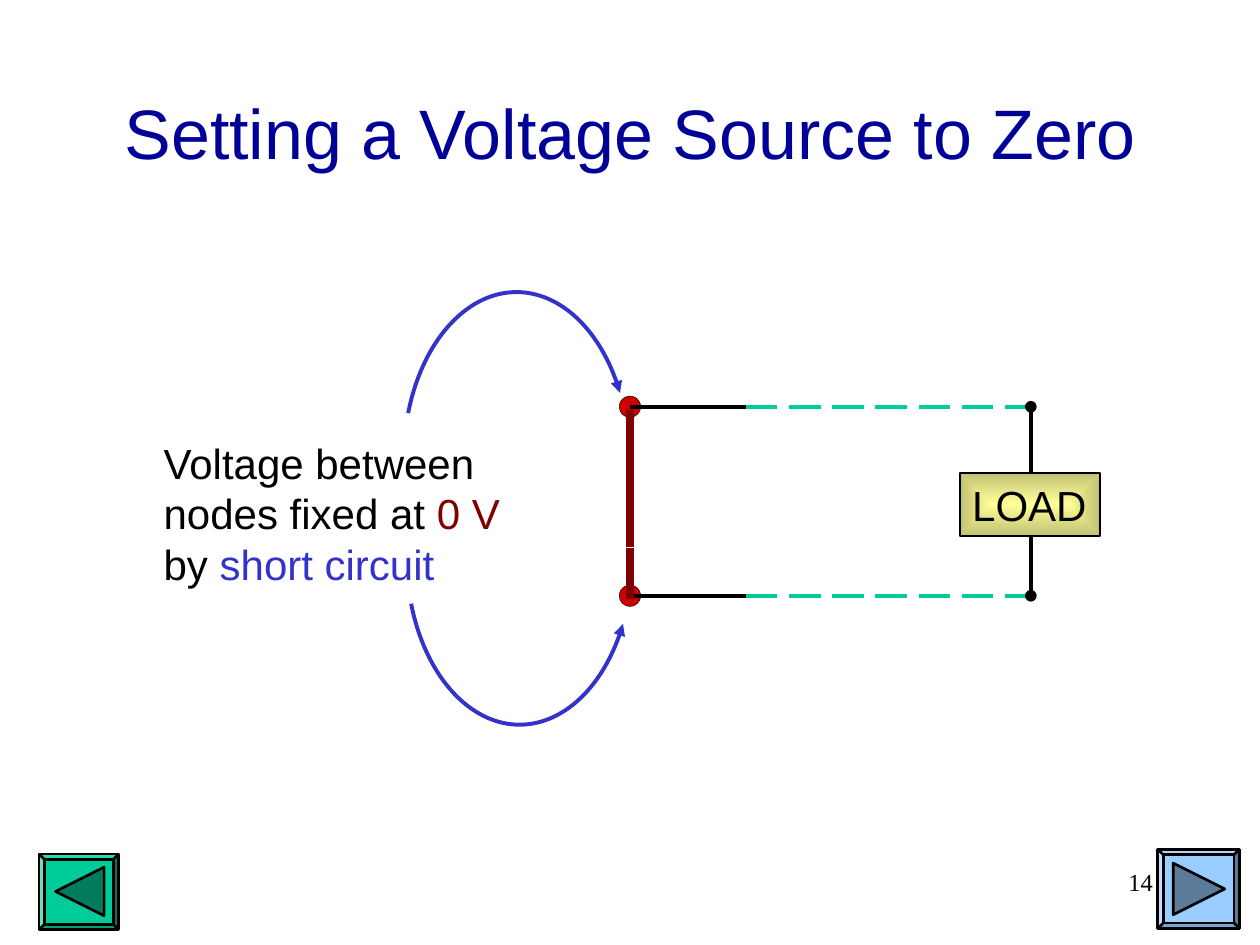
from lxml import etree
from pptx import Presentation
from pptx import util as u
from pptx.dml.color import RGBColor
from pptx.enum import dml, shapes, text
from pptx.oxml.ns import qn

Cm, Pt = u.Cm, u.Pt
MSO = shapes.MSO_SHAPE
BLACK, NAVY, BLUE, GREEN = "000000", "000099", "3333CC", "00CC99"
MAROON, RED = "800000", "CC0000"


def paint(fill, color):
    fill.solid()
    fill.fore_color.rgb = RGBColor.from_string(color)


def write(sp, lines, frame, size=24, font="Arial", align=text.PP_ALIGN.LEFT):
    """Fill a shape with lines, each a list of (words, colour) pairs."""
    tf = sp.text_frame
    for name, value in frame.items():
        setattr(tf, name, value)
    for i, line in enumerate(lines):
        p = tf.add_paragraph() if i else tf.paragraphs[0]
        p.alignment = align
        for words, color in line:
            r = p.add_run()
            r.text = words
            for name, value in {"size": Pt(size), "name": font}.items():
                setattr(r.font, name, value)
            paint(r.font.fill, color)


prs = Presentation()
prs.slide_width, prs.slide_height = Cm(25.4), Cm(19.05)
s = prs.slides.add_slide(prs.slide_layouts[5])

# Navigation buttons: bevelled frame with a triangle
for frame, fill, arrow, dark, turn in [
    ((23.34, 17.12, 1.65, 1.6), "99CCFF", (23.65, 17.4, 1.04, 1.04), "5C7A99", 90),
    ((0.79, 17.22, 1.6, 1.52), GREEN, (1.12, 17.48, 0.98, 0.98), "007B5C", -90),
]:
    for kind, box, color in [(MSO.BEVEL, frame, fill),
                             (MSO.ISOSCELES_TRIANGLE, arrow, dark)]:
        sp = s.shapes.add_shape(kind, *map(Cm, box))
        sp.shadow.inherit = False
        paint(sp.fill, color)
        paint(sp.line.fill, BLACK)
        sp.line.width = Pt(1.5)
        if kind == MSO.BEVEL:
            sp.adjustments[0] = 0.07
        else:
            sp.rotation = turn

# Slide number
sp = s.shapes.add_textbox(Cm(18.21), Cm(17.35), Cm(5.28), Cm(1.27))
write(sp, [[("14", BLACK)]], {"word_wrap": True}, 14, "Times New Roman",
      text.PP_ALIGN.RIGHT)

# Title
sp = s.shapes.title
box = {"left": 1.9, "top": 1.07, "width": 21.6, "height": 3.18}
for name, value in box.items():
    setattr(sp, name, Cm(value))
write(sp, [[("Setting a Voltage Source to Zero", NAVY)]],
      {"vertical_anchor": text.MSO_ANCHOR.MIDDLE}, 40,
      align=text.PP_ALIGN.CENTER)

# Explanation
sp = s.shapes.add_textbox(Cm(3.05), Cm(8.69), Cm(7.29), Cm(3.3))
write(sp, [[("Voltage between", BLACK)],
           [("nodes fixed at ", BLACK), ("0 V", MAROON)],
           [("by ", BLACK), ("short circuit", BLUE)]], {"word_wrap": False})

# Curved arrows to the two nodes (angles in degrees, clockwise from the right)
for left, top, start, end, tip in [(8.14, 5.89, 203.3, 327.1, "tailEnd"),
                                   (8.2, 7.85, 32.9, 156.7, "headEnd")]:
    sp = s.shapes.add_shape(MSO.ARC, Cm(left), Cm(top), Cm(4.55), Cm(6.76))
    sp.shadow.inherit = False
    sp.fill.background()
    for i, angle in enumerate((start, end)):
        sp.adjustments[i] = angle * 0.6
    paint(sp.line.fill, BLUE)
    sp.line.width = Pt(2.25)
    etree.SubElement(sp.line._get_or_add_ln(), qn("a:" + tip), type="triangle")

# Circuit wires
top_y, bottom_y = 8.2, 12.01
node_x, join_x, load_x = 12.7, 15.04, 20.78
wires = []
for y in (bottom_y, top_y):
    wires += [(join_x, y, load_x, y, GREEN, 2.25, "dash"),
              (node_x, y, join_x, y, BLACK, 2.25, "")]
wires += [(load_x, top_y, load_x, bottom_y, BLACK, 2.25, "oval"),
          (node_x, 11.02, node_x, 8.26, MAROON, 4.5, ""),
          (node_x, 12.07, node_x, 11.05, MAROON, 4.5, "")]

# Red nodes lie below the short circuit
for y in (bottom_y, top_y):
    d = 0.43
    sp = s.shapes.add_shape(MSO.OVAL, Cm(node_x - d / 2), Cm(y - d / 2), Cm(d), Cm(d))
    sp.shadow.inherit = False
    paint(sp.fill, RED)
    paint(sp.line.fill, BLACK)
    sp.line.width = Pt(0.25)

for x1, y1, x2, y2, color, width, look in wires:
    sp = s.shapes.add_connector(shapes.MSO_CONNECTOR.STRAIGHT,
                                Cm(x1), Cm(y1), Cm(x2), Cm(y2))
    paint(sp.line.fill, color)
    sp.line.width = Pt(width)
    if look == "dash":
        sp.line.dash_style = dml.MSO_LINE.LONG_DASH
    elif look == "oval":
        for tip in ("a:headEnd", "a:tailEnd"):
            etree.SubElement(sp.line._get_or_add_ln(), qn(tip), type="oval")
    etree.SubElement(sp._element.spPr, qn("a:effectLst"))

# Load with a gradient from its centre
sp = s.shapes.add_shape(MSO.RECTANGLE, Cm(19.35), Cm(9.53), Cm(2.82), Cm(1.27))
sp.shadow.inherit = False
sp.fill.gradient()
for stop, color in zip(sp.fill.gradient_stops, ("FFFF99", "C1C174")):
    stop.color.rgb = RGBColor.from_string(color)
grad = sp._element.spPr.find(qn("a:gradFill"))
grad.remove(grad.find(qn("a:lin")))
centre = etree.Element(qn("a:path"), path="rect")
etree.SubElement(centre, qn("a:fillToRect"), dict.fromkeys("ltrb", "50000"))
grad.find(qn("a:gsLst")).addnext(centre)
paint(sp.line.fill, BLACK)
sp.line.width = Pt(1)
write(sp, [[("LOAD", BLACK)]], {"word_wrap": False})

prs.save("out.pptx")
